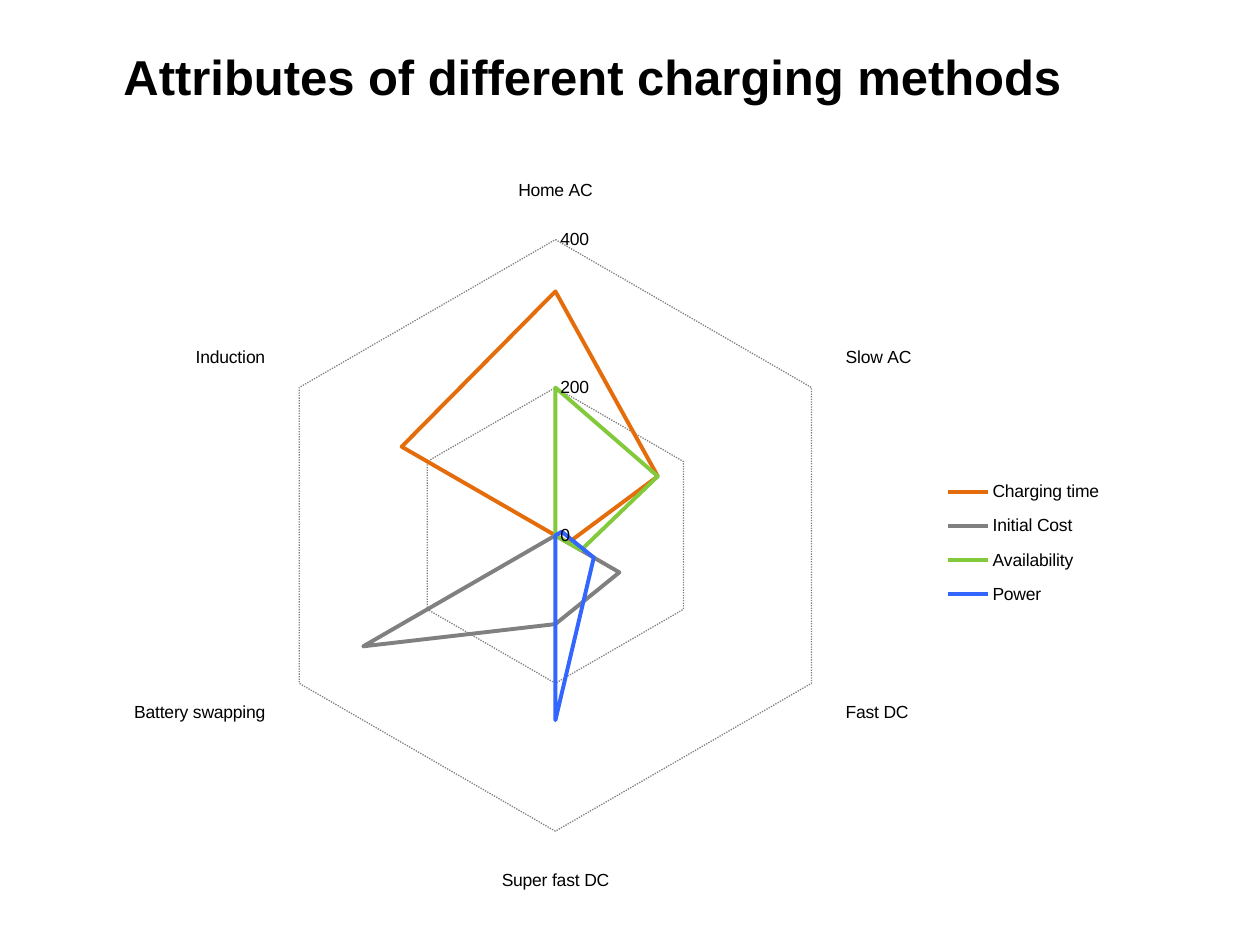
from lxml import etree
from pptx import Presentation
from pptx.chart.data import CategoryChartData
from pptx.dml.color import RGBColor
from pptx.enum.chart import XL_CHART_TYPE, XL_LEGEND_POSITION, XL_TICK_MARK
from pptx.enum.dml import MSO_LINE
from pptx.enum.text import MSO_ANCHOR, PP_ALIGN
from pptx.oxml.ns import qn
from pptx.util import Inches, Pt

BLACK = RGBColor(0x00, 0x00, 0x00)
GRAY = RGBColor(0x80, 0x80, 0x80)
ORANGE = RGBColor(0xE4, 0x6C, 0x0A)
GREEN = RGBColor(0x83, 0xC9, 0x3C)
BLUE = RGBColor(0x33, 0x66, 0xFF)

METHODS = ["Home AC", "Slow AC", "Fast DC", "Super fast DC", "Battery swapping", "Induction"]
ATTRIBUTES = [
    ("Charging time", (330, 160, 20, 0, 0, 240), ORANGE),
    ("Initial Cost", (0, 0, 100, 120, 300, 0), GRAY),
    ("Availability", (200, 160, 40, 0, 0, 0), GREEN),
    ("Power", (0, 10, 60, 250, 0, 0), BLUE),
]


def set_layout(parent, index, x, y, w, h, target=None):
    """Place a chart part by hand, in shares of the chart's size."""
    for old in parent.findall(qn("c:layout")):
        parent.remove(old)
    layout = etree.Element(qn("c:layout"))
    manual = etree.SubElement(layout, qn("c:manualLayout"))
    settings = [("xMode", "edge"), ("yMode", "edge"), ("x", x), ("y", y), ("w", w), ("h", h)]
    if target:
        settings.insert(0, ("layoutTarget", target))
    for tag, value in settings:
        etree.SubElement(manual, qn(f"c:{tag}")).set("val", str(value))
    parent.insert(index, layout)


presentation = Presentation()
presentation.slide_width, presentation.slide_height = Inches(10), Inches(7.5)
slide = presentation.slides.add_slide(presentation.slide_layouts[5])

# Title
title = slide.shapes.title
title.left, title.top = Inches(0.88), Inches(0.32)
title.width, title.height = Inches(8.23), Inches(1.04)
title.text_frame.text = "Attributes of different charging methods"
title.text_frame.vertical_anchor = MSO_ANCHOR.TOP
paragraph = title.text_frame.paragraphs[0]
paragraph.alignment = PP_ALIGN.LEFT
paragraph.font.name, paragraph.font.size = "Arial", Pt(28)
paragraph.font.bold = True
paragraph.font.color.rgb = BLACK

# Radar chart
chart_data = CategoryChartData()
chart_data.categories = METHODS
for name, values, _ in ATTRIBUTES:
    chart_data.add_series(name, values)
chart = slide.shapes.add_chart(
    XL_CHART_TYPE.RADAR, Inches(-0.16), Inches(1.24), Inches(10.04), Inches(6.02), chart_data
).chart
chart.has_title = False
chart.font.name, chart.font.size = "Calibri", Pt(10)
chart.font.color.rgb = BLACK

for series, (_, _, color) in zip(chart.plots[0].series, ATTRIBUTES):
    series.smooth = False
    series.format.line.color.rgb = color
    series.format.line.width = Pt(2.25)

# Axes and dotted web
value_axis = chart.value_axis
value_axis.minimum_scale, value_axis.maximum_scale = 0, 400
value_axis.major_unit = 200
value_axis.format.line.fill.background()
for axis in (chart.category_axis, value_axis):
    axis.major_tick_mark = axis.minor_tick_mark = XL_TICK_MARK.NONE
    axis.tick_labels.font.name, axis.tick_labels.font.size = "Arial", Pt(10)
    axis.tick_labels.font.color.rgb = BLACK
    axis.has_major_gridlines = True
    grid_line = axis.major_gridlines.format.line
    grid_line.color.rgb = GRAY
    grid_line.width = Pt(0.75)
    grid_line.dash_style = MSO_LINE.ROUND_DOT

# Legend and plot positions
chart.has_legend = True
legend = chart.legend
legend.position = XL_LEGEND_POSITION.RIGHT
legend.include_in_layout = False
legend.font.name, legend.font.size = "Arial", Pt(10)
legend.font.color.rgb = BLACK
plot_area = chart.element.find(".//" + qn("c:plotArea"))
set_layout(plot_area, 0, 0.22, 0.11, 0.47, 0.78, target="inner")
set_layout(chart.element.find(".//" + qn("c:legend")), 1, 0.76, 0.41, 0.13, 0.2)

presentation.save("out.pptx")
